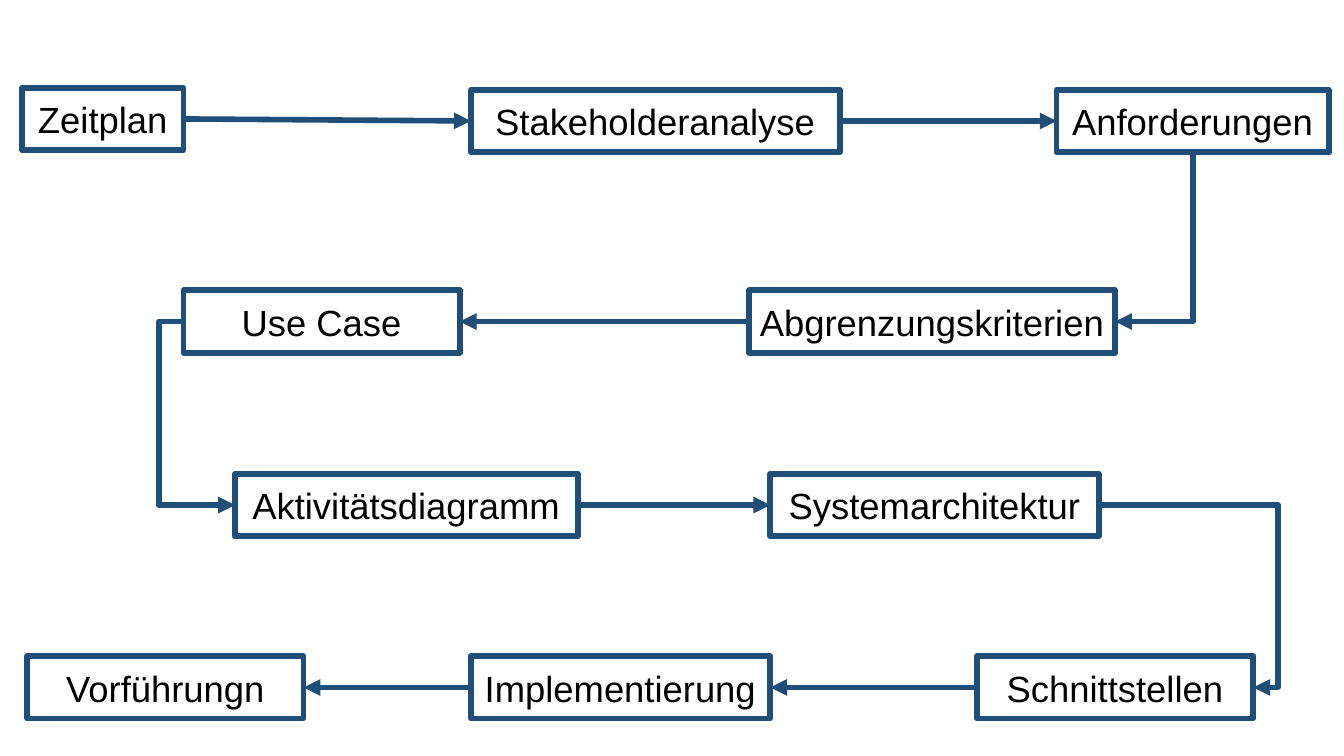
from lxml.etree import SubElement
from pptx import Presentation
from pptx.dml.color import RGBColor
from pptx.enum.shapes import MSO_CONNECTOR as CONN, MSO_SHAPE as SHAPE
from pptx.enum.text import MSO_ANCHOR, PP_ALIGN
from pptx.oxml.ns import qn
from pptx.util import Inches, Pt

COLORS = {"box": "FFFFFF", "line": "1F4E79", "text": "000000"}
TOP, LEFT, BOTTOM, RIGHT = range(4)
BOX_HEIGHT = 8.27

ROWS = [
    (11.87, [("Zeitplan", 1.65, 12), ("Stakeholderanalyse", 35.03, 27.46),
             ("Anforderungen", 78.62, 20.26)]),
    (38.4, [("Use Case", 13.65, 20.56), ("Abgrenzungskriterien", 55.74, 27.23)]),
    (62.67, [("Aktivitätsdiagramm", 17.48, 25.51),
             ("Systemarchitektur", 57.31, 24.46)]),
    (86.8, [("Vorführungn", 2.03, 20.56), ("Implementierung", 35.03, 22.28),
            ("Schnittstellen", 72.69, 20.56)]),
]
ROW_OFFSETS = {"Zeitplan": -0.27}

STRAIGHT = [
    ("Zeitplan", RIGHT, "Stakeholderanalyse", LEFT),
    ("Stakeholderanalyse", RIGHT, "Anforderungen", LEFT),
    ("Abgrenzungskriterien", LEFT, "Use Case", RIGHT),
    ("Aktivitätsdiagramm", RIGHT, "Systemarchitektur", LEFT),
    ("Schnittstellen", LEFT, "Implementierung", RIGHT),
    ("Implementierung", LEFT, "Vorführungn", RIGHT),
]


class Flow:
    def __init__(self, prs):
        self.width, self.height = prs.slide_width, prs.slide_height
        self.slide = prs.slides.add_slide(prs.slide_layouts[6])
        self.font, self.size, self.weight = "Arial", Pt(26), Pt(4)
        self.boxes = {}

    def color(self, name):
        return RGBColor.from_string(COLORS[name])

    def outline(self, line):
        line.color.rgb = self.color("line")
        line.width = self.weight

    def box(self, text, left, top, width):
        sp = self.slide.shapes.add_shape(
            SHAPE.RECTANGLE,
            round(self.width * left / 100), round(self.height * top / 100),
            round(self.width * width / 100), round(self.height * BOX_HEIGHT / 100))
        sp.shadow.inherit = False
        sp.fill.solid()
        sp.fill.fore_color.rgb = self.color("box")
        self.outline(sp.line)
        tf = sp.text_frame
        tf.word_wrap = False
        tf.vertical_anchor = MSO_ANCHOR.MIDDLE
        p = tf.paragraphs[0]
        p.alignment = PP_ALIGN.CENTER
        r = p.add_run()
        r.text = text
        r.font.name, r.font.size = self.font, self.size
        r.font.color.rgb = self.color("text")
        self.boxes[text] = sp

    def arrow(self, start, start_site, end, end_site,
              kind=CONN.STRAIGHT, arrowhead="tailEnd"):
        cxn = self.slide.shapes.add_connector(kind, 0, 0, 0, 0)
        cxn.begin_connect(self.boxes[start], start_site)
        cxn.end_connect(self.boxes[end], end_site)
        self.outline(cxn.line)
        sp_pr = cxn._element.spPr
        SubElement(sp_pr.find(qn("a:ln")), qn(f"a:{arrowhead}"), type="triangle")
        SubElement(sp_pr, qn("a:effectLst"))
        return sp_pr.find(qn("a:prstGeom"))

    def corner(self, *ends):
        geom = self.arrow(*ends, kind=CONN.ELBOW, arrowhead="headEnd")
        geom.set("prst", "bentConnector2")

    def detour(self, *ends, bend):
        geom = self.arrow(*ends, kind=CONN.ELBOW)
        guides = geom.find(qn("a:avLst"))
        if guides is None:
            guides = SubElement(geom, qn("a:avLst"))
        SubElement(guides, qn("a:gd"), name="adj1",
                   fmla=f"val {round(bend * 100000)}")


def main():
    prs = Presentation()
    prs.slide_width, prs.slide_height = Inches(13.33), Inches(7.5)
    flow = Flow(prs)
    for top, row in ROWS:
        for text, left, width in row:
            flow.box(text, left, top + ROW_OFFSETS.get(text, 0), width)
    for ends in STRAIGHT:
        flow.arrow(*ends)
    flow.corner("Abgrenzungskriterien", RIGHT, "Anforderungen", BOTTOM)
    flow.detour("Use Case", LEFT, "Aktivitätsdiagramm", LEFT, bend=-0.48)
    flow.detour("Systemarchitektur", RIGHT, "Schnittstellen", RIGHT, bend=1.16)
    prs.save("out.pptx")


if __name__ == "__main__":
    main()
